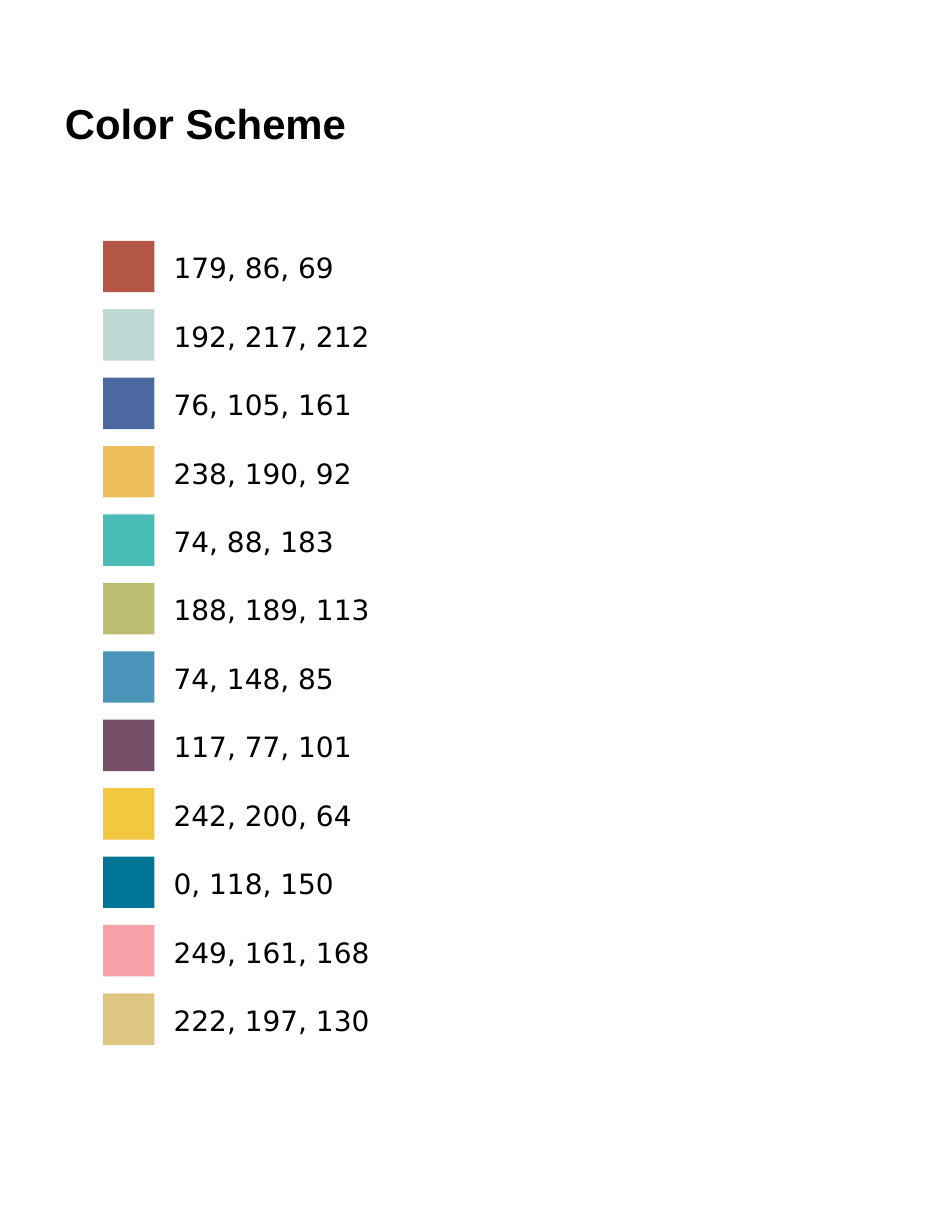
from dataclasses import dataclass

from pptx import Presentation
from pptx.dml.color import RGBColor
from pptx.enum.shapes import MSO_SHAPE
from pptx.enum.text import MSO_ANCHOR
from pptx.util import Inches, Pt


@dataclass(frozen=True)
class Theme:
    ink: str = "000000"
    head_font: str = "Arial"
    head_size: float = 26.9
    body_font: str = "DejaVu Sans"
    body_size: float = 18
    swatches: tuple = (
        ("B35645", "179, 86, 69"),
        ("C0D9D4", "192, 217, 212"),
        ("4C69A1", "76, 105, 161"),
        ("EEBE5C", "238, 190, 92"),
        ("4ABCB7", "74, 88, 183"),
        ("BCBD71", "188, 189, 113"),
        ("4A94B9", "74, 148, 85"),
        ("754D65", "117, 77, 101"),
        ("F2C840", "242, 200, 64"),
        ("007696", "0, 118, 150"),
        ("F9A1A8", "249, 161, 168"),
        ("DEC582", "222, 197, 130"),
    )


THEME = Theme()

# Grid, in inches: one row per swatch, evenly spread from FIRST to LAST
WIDTH, HEIGHT = 8.5, 11
FIRST, LAST = 2.15, 8.87
PITCH = (LAST - FIRST) / (len(THEME.swatches) - 1)
CHIP_COL, CHIP = 0.92, 0.46
TEXT_COL, TEXT_W, TEXT_H = 1.5, 2.75, 0.4


def add_text(slide, area, words, font, size, bold=False, inset=0):
    box = slide.shapes.add_textbox(*map(Inches, area))
    frame = box.text_frame
    frame.word_wrap = True
    frame.vertical_anchor = MSO_ANCHOR.MIDDLE
    frame.margin_left = frame.margin_right = Inches(inset)
    frame.margin_top = frame.margin_bottom = Inches(inset)
    run = frame.paragraphs[0].add_run()
    run.text = words
    run.font.name = font
    run.font.size = Pt(size)
    run.font.bold = bold
    run.font.color.rgb = RGBColor.from_string(THEME.ink)


def add_chip(slide, top, color):
    area = map(Inches, (CHIP_COL, top, CHIP, CHIP))
    chip = slide.shapes.add_shape(MSO_SHAPE.RECTANGLE, *area)
    chip.shadow.inherit = False
    chip.fill.solid()
    chip.fill.fore_color.rgb = RGBColor.from_string(color)
    chip.line.fill.background()


def add_label(slide, top, words):
    """Centre the label on the height of its chip."""
    area = (TEXT_COL, top + (CHIP - TEXT_H) / 2 + 0.01, TEXT_W, TEXT_H)
    add_text(slide, area, words, THEME.body_font, THEME.body_size, inset=0.05)


def main():
    deck = Presentation()
    deck.slide_width, deck.slide_height = Inches(WIDTH), Inches(HEIGHT)
    slide = deck.slides.add_slide(deck.slide_layouts[6])
    add_text(slide, (0.58, 0.83, 7.33, 0.54), "Color Scheme",
             THEME.head_font, THEME.head_size, bold=True)
    for row, (color, words) in enumerate(THEME.swatches):
        top = FIRST + row * PITCH
        add_chip(slide, top, color)
        add_label(slide, top, words)
    deck.save("out.pptx")


if __name__ == "__main__":
    main()
